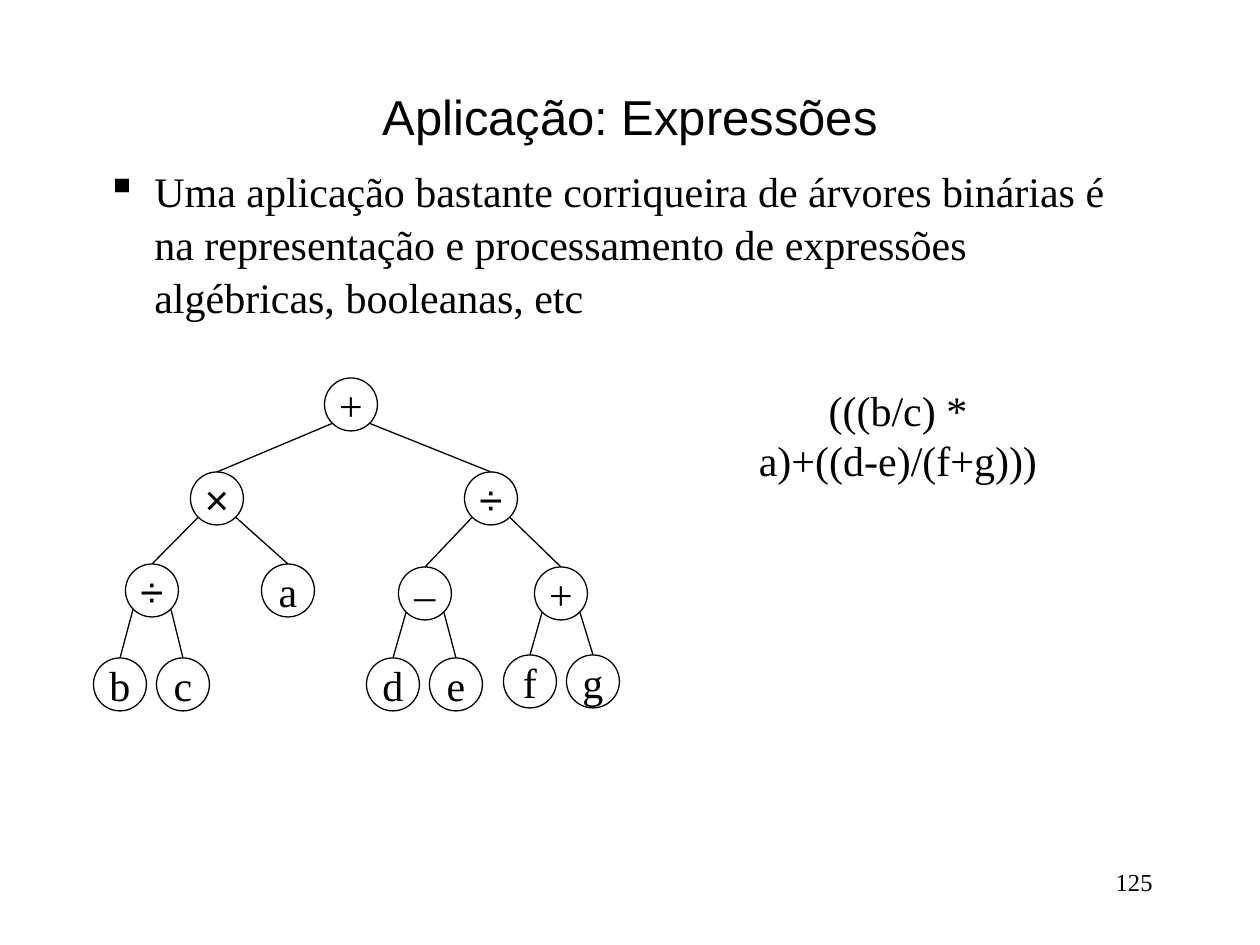
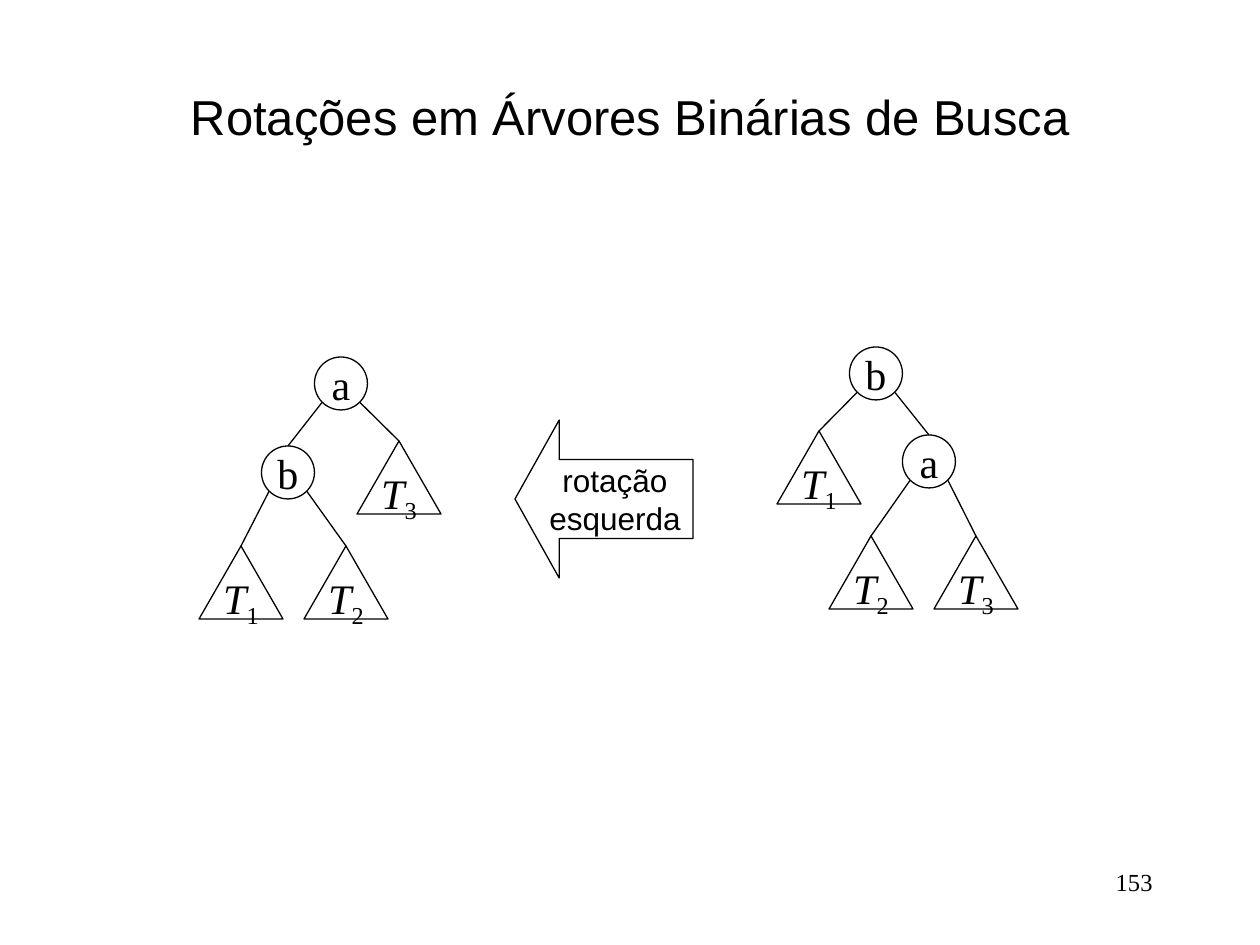
from dataclasses import dataclass

from lxml import etree
from pptx import Presentation
from pptx.dml.color import RGBColor
from pptx.enum.shapes import MSO_CONNECTOR, MSO_SHAPE
from pptx.enum.text import MSO_ANCHOR, PP_ALIGN
from pptx.oxml.ns import qn
from pptx.util import Emu, Pt

BLACK = RGBColor(0, 0, 0)
SANS, SERIF = "Arial", "Times New Roman"
ELLIPSE, TRIANGLE, LEFT_ARROW = MSO_SHAPE.OVAL, MSO_SHAPE.ISOSCELES_TRIANGLE, MSO_SHAPE.LEFT_ARROW
STRAIGHT = MSO_CONNECTOR.STRAIGHT
LEFT, CENTER, RIGHT = PP_ALIGN.LEFT, PP_ALIGN.CENTER, PP_ALIGN.RIGHT
TOP, MIDDLE = MSO_ANCHOR.TOP, MSO_ANCHOR.MIDDLE

PX = 914400 / 126
WIDTH, HEIGHT = 1260, 945
MARGIN = 94
CONTENT_WIDTH = WIDTH - 2 * MARGIN
NODE = 53
SUBTREE_WIDTH, SUBTREE_HEIGHT = 84, 73
EDGE_OFFSET = 19
BULLET_INDENT = 48


def px(*lengths):
    return [Emu(round(length * PX)) for length in lengths]


@dataclass
class Node:
    label: str
    x: int
    top: int
    children: tuple = ()


@dataclass
class Subtree:
    index: str
    x: int
    top: int


class Deck:
    def __init__(self):
        self.presentation = Presentation()
        self.presentation.slide_width, self.presentation.slide_height = px(WIDTH, HEIGHT)
        self.slide = None

    def new_slide(self, title, number):
        self.slide = self.presentation.slides.add_slide(self.presentation.slide_layouts[6])
        self.text(title, (MARGIN, 84, CONTENT_WIDTH, 63), 28, SANS, CENTER, MIDDLE)
        self.text(number, (903, 861, 262, 63), 14, SERIF, RIGHT)

    def style(self, paragraph, size, font, align):
        paragraph.alignment = align
        paragraph.font.size = Pt(size)
        paragraph.font.name = font
        paragraph.font.color.rgb = BLACK

    def text(self, content, box, size=24, font=SERIF, align=LEFT, anchor=TOP, wrap=True):
        frame = self.slide.shapes.add_textbox(*px(*box)).text_frame
        frame.word_wrap = wrap
        frame.vertical_anchor = anchor
        paragraph = frame.paragraphs[0]
        paragraph.text = content
        self.style(paragraph, size, font, align)
        return paragraph

    def bullet(self, content, box):
        paragraph = self.text(content, box)
        paragraph.line_spacing = 1.05
        properties = paragraph._p.get_or_add_pPr()
        indent = px(BULLET_INDENT)[0]
        properties.set("marL", str(indent))
        properties.set("indent", str(-indent))
        marker = etree.Element(qn("a:buChar"), char="▪")
        properties.find(qn("a:defRPr")).addprevious(marker)

    def outline(self, kind, box, content, size=24, font=SERIF):
        shape = self.slide.shapes.add_shape(kind, *px(*box))
        shape.shadow.inherit = False
        shape.fill.background()
        shape.line.color.rgb = BLACK
        shape.line.width = Pt(0.75)
        frame = shape.text_frame
        frame.word_wrap = False
        frame.vertical_anchor = MIDDLE
        paragraph = frame.paragraphs[0]
        paragraph.text = content
        self.style(paragraph, size, font, CENTER)
        return shape

    def edge(self, start, end):
        line = self.slide.shapes.add_connector(STRAIGHT, *px(*start, *end))
        line.line.color.rgb = BLACK
        line.line.width = Pt(0.75)
        etree.SubElement(line._element.spPr, qn("a:effectLst"))

    def subtree(self, subtree):
        box = (subtree.x - SUBTREE_WIDTH / 2, subtree.top, SUBTREE_WIDTH, SUBTREE_HEIGHT)
        paragraph = self.outline(TRIANGLE, box, "T").text_frame.paragraphs[0]
        paragraph.runs[0].font.italic = True
        index = paragraph.add_run()
        index.text = subtree.index
        index._r.get_or_add_rPr().set("baseline", "-25000")

    def tree(self, root):
        if isinstance(root, Subtree):
            self.subtree(root)
            return
        font = SANS if root.label in "×÷" else SERIF
        self.outline(ELLIPSE, (root.x - NODE / 2, root.top, NODE, NODE), root.label, font=font)
        for child, side in zip(root.children, (-1, 1)):
            start = root.x + side * EDGE_OFFSET, root.top + NODE / 2 + EDGE_OFFSET
            self.edge(start, (child.x, child.top))
            self.tree(child)

    def arrow(self, content, box):
        arrow = self.outline(LEFT_ARROW, box, content, 18, SANS)
        arrow.adjustments[0] = 0.5
        arrow.adjustments[1] = 0.28


def expressions(deck):
    deck.new_slide("Aplicação: Expressões", "125")
    deck.bullet(
        "Uma aplicação bastante corriqueira de árvores binárias é na representação "
        "e processamento de expressões algébricas, booleanas, etc",
        (MARGIN, 157, CONTENT_WIDTH, 683),
    )
    quotient = Node("÷", 152, 564, (Node("b", 120, 658), Node("c", 183, 658)))
    product = Node("×", 217, 472, (quotient, Node("a", 288, 564)))
    difference = Node("–", 425, 567, (Node("d", 393, 658), Node("e", 456, 658)))
    total = Node("+", 561, 567, (Node("f", 530, 655), Node("g", 593, 655)))
    ratio = Node("÷", 491, 472, (difference, total))
    deck.tree(Node("+", 351, 378, (product, ratio)))
    deck.text("(((b/c) * a)+((d-e)/(f+g)))", (672, 378, 452, 63), align=CENTER, wrap=False)


def rotations(deck):
    deck.new_slide("Rotações em Árvores Binárias de Busca", "153")
    rotated_child = Node("b", 288, 446, (Subtree("1", 241, 546), Subtree("2", 346, 546)))
    deck.tree(Node("a", 341, 357, (rotated_child, Subtree("3", 399, 441))))
    initial_child = Node("a", 929, 435, (Subtree("2", 871, 536), Subtree("3", 976, 536)))
    deck.tree(Node("b", 876, 347, (Subtree("1", 819, 431), initial_child)))
    deck.arrow("rotação\vesquerda", (515, 420, 178, 158))


def main():
    deck = Deck()
    expressions(deck)
    rotations(deck)
    deck.presentation.save("out.pptx")


if __name__ == "__main__":
    main()
